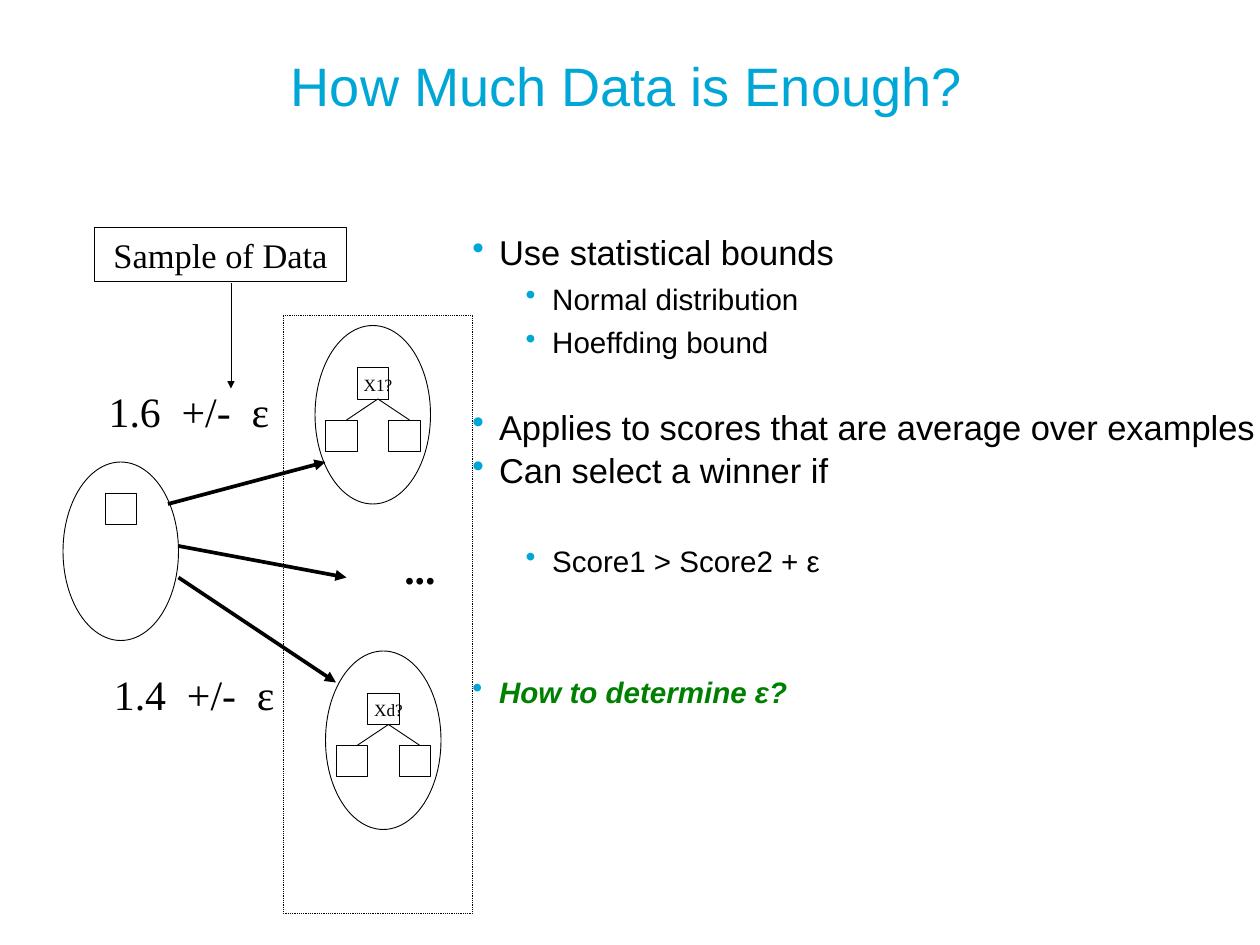
"""Build the slide on choosing how much data is enough."""
from dataclasses import dataclass

from pptx import Presentation, util as u
from pptx.dml.color import RGBColor
from pptx.enum import dml, shapes, text
from pptx.oxml import ns, xmlchemy as xc

WIDTH, HEIGHT = 14.22, 10.67
COLS, ROWS = 120, 90
RECT, OVAL = shapes.MSO_SHAPE.RECTANGLE, shapes.MSO_SHAPE.OVAL


@dataclass(frozen=True)
class Theme:
    accent: str = "00A6D6"
    ink: str = "000000"
    question: str = "008000"
    sans: str = "Arial"
    serif: str = "Times New Roman"
    title: float = 44
    score: float = 34
    main: float = 28
    sub: float = 24
    node: float = 14
    pitch: float = 35.5
    thin: float = 0.75
    thick: float = 3


THEME = Theme()


@dataclass(frozen=True)
class Box:
    col: float
    row: float
    cols: float
    rows: float

    def lengths(self) -> tuple:
        return x(self.col), y(self.row), x(self.cols), y(self.rows)


@dataclass(frozen=True)
class Label:
    words: str
    box: Box
    size: float = THEME.score
    bold: bool = False


@dataclass(frozen=True)
class Line:
    start: tuple[float, float]
    end: tuple[float, float]
    width: float = THEME.thin
    arrow: bool = True


@dataclass(frozen=True)
class Bullet:
    words: str
    size: float = THEME.main
    indent: float = 0.3
    lines_before: int = 0
    strong: bool = False


@dataclass(frozen=True)
class Tree:
    words: str
    col: float
    row: float


TREES = [Tree("X1?", 30, 31), Tree("Xd?", 31, 62)]
LABELS = [
    Label("Sample of Data", Box(9, 21.7, 24, 5.1), THEME.main),
    Label("1.6  +/-  ε", Box(6, 36, 24, 6.1)),
    Label("1.4  +/-  ε", Box(6, 63, 25, 6.1)),
    Label("...", Box(33, 51, 14, 6.1), bold=True),
]
ARROWS = [
    Line((22, 27), (22, 37)),
    Line((16, 48), (31, 44), THEME.thick),
    Line((17, 52), (33, 55), THEME.thick),
    Line((17, 55), (32, 65), THEME.thick),
]
BULLETS = [
    Bullet("Use statistical bounds"),
    Bullet("Normal distribution", THEME.sub, 0.9),
    Bullet("Hoeffding bound", THEME.sub, 0.9),
    Bullet("Applies to scores that are average over examples", lines_before=1),
    Bullet("Can select a winner if"),
    Bullet("Score1 > Score2 + ε", THEME.sub, 0.9, 1),
    Bullet("How to determine ε?", THEME.sub, lines_before=2, strong=True),
]


def x(cols: float) -> int:
    """Turn columns into a length."""
    return u.Inches(WIDTH * cols / COLS)


def y(rows: float) -> int:
    """Turn rows into a length."""
    return u.Inches(HEIGHT * rows / ROWS)


def add_run(p, words: str, size: float, face: str, color: str, bold: bool = False, italic: bool = False) -> None:
    """Add one formatted run to a paragraph."""
    r = p.add_run()
    r.text = words
    r.font.size, r.font.name = u.Pt(size), face
    r.font.bold, r.font.italic = bold, italic
    r.font.color.rgb = RGBColor.from_string(color)


def add_text_box(s, box: Box, margins: tuple[float, float] = (0, 0)):
    """Add a wrapping text box and return its text frame."""
    tf = s.shapes.add_textbox(*box.lengths()).text_frame
    tf.word_wrap = True
    tf.margin_left = tf.margin_right = u.Inches(margins[0])
    tf.margin_top = tf.margin_bottom = u.Inches(margins[1])
    return tf


def add_outline(s, kind, box: Box, dotted: bool = False) -> None:
    """Add an unfilled shape with a thin outline."""
    sp = s.shapes.add_shape(kind, *box.lengths())
    sp.shadow.inherit = False
    sp.fill.background()
    sp.line.color.rgb = RGBColor.from_string(THEME.ink)
    sp.line.width = u.Pt(THEME.thin)
    if dotted:
        sp.line.dash_style = dml.MSO_LINE.ROUND_DOT


def add_line(s, line: Line) -> None:
    """Add a straight line, with an arrowhead when asked."""
    (c1, r1), (c2, r2) = line.start, line.end
    sp = s.shapes.add_connector(shapes.MSO_CONNECTOR.STRAIGHT, x(c1), y(r1), x(c2), y(r2))
    sp.line.color.rgb = RGBColor.from_string(THEME.ink)
    sp.line.width = u.Pt(line.width)
    if line.arrow:
        tail = xc.OxmlElement("a:tailEnd")
        tail.set("type", "triangle")
        sp.line._get_or_add_ln().append(tail)
    sp._element.spPr.append(xc.OxmlElement("a:effectLst"))


def add_label(s, label: Label) -> None:
    """Add a centred serif label."""
    tf = add_text_box(s, label.box, (0.14, 0.07))
    tf.vertical_anchor = text.MSO_ANCHOR.BOTTOM
    p = tf.paragraphs[0]
    p.alignment = text.PP_ALIGN.CENTER
    add_run(p, label.words, label.size, THEME.serif, THEME.ink, label.bold)


def add_tree(s, tree: Tree) -> None:
    """Add an oval holding a labelled root node and two leaves."""
    c, r = tree.col, tree.row
    add_outline(s, OVAL, Box(c, r, 11, 17))
    for dc, dr in ((4, 4), (1, 9), (7, 9)):
        add_outline(s, RECT, Box(c + dc, r + dr, 3, 3))
    for dc in (3, 9):
        add_line(s, Line((c + 6, r + 7), (c + dc, r + 9), arrow=False))
    add_label(s, Label(tree.words, Box(c + 3, r + 4, 6, 3.2), THEME.node))


def add_bullet(p, bullet: Bullet) -> None:
    """Fill a paragraph with one bulleted point."""
    pPr = p._p.get_or_add_pPr()
    pPr.set("marL", str(u.Inches(bullet.indent)))
    pPr.set("indent", str(u.Inches(-0.3)))
    color, char = xc.OxmlElement("a:buClr"), xc.OxmlElement("a:buChar")
    rgb = xc.OxmlElement("a:srgbClr")
    rgb.set("val", THEME.accent)
    color.append(rgb)
    char.set("char", "•")
    pPr.extend([color, char])
    p.line_spacing = u.Pt(THEME.pitch)
    if bullet.lines_before:
        p.space_before = u.Pt(THEME.pitch * bullet.lines_before)
    ink = THEME.question if bullet.strong else THEME.ink
    add_run(p, bullet.words, bullet.size, THEME.sans, ink, bullet.strong, bullet.strong)


def main() -> None:
    """Draw the slide and save it."""
    prs = Presentation()
    prs.slide_width, prs.slide_height = u.Inches(WIDTH), u.Inches(HEIGHT)
    s = prs.slides.add_slide(prs.slide_layouts[6])
    title = add_text_box(s, Box(27.7, 5, 92.3, 14))
    add_run(title.paragraphs[0], "How Much Data is Enough?", THEME.title, THEME.sans, THEME.accent)
    tf = add_text_box(s, Box(45, 21.8, 75, 63))
    for i, bullet in enumerate(BULLETS):
        add_bullet(tf.add_paragraph() if i else tf.paragraphs[0], bullet)
    add_outline(s, RECT, Box(27, 30, 18, 57), dotted=True)
    add_outline(s, RECT, LABELS[0].box)
    add_outline(s, OVAL, Box(6, 44, 11, 17))
    add_outline(s, RECT, Box(10, 47, 3, 3))
    for tree in TREES:
        add_tree(s, tree)
    for arrow in ARROWS:
        add_line(s, arrow)
    for label in LABELS:
        add_label(s, label)
    prs.save("out.pptx")


if __name__ == "__main__":
    main()
